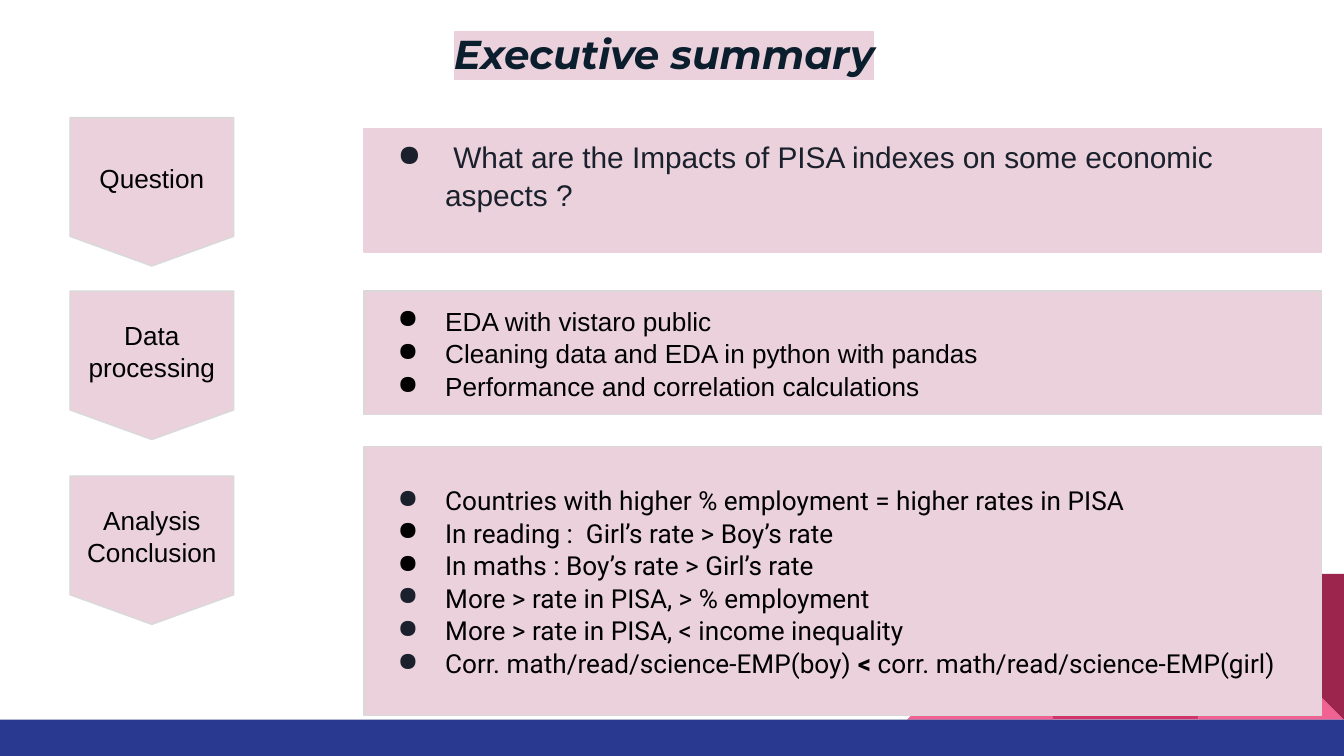
from lxml import etree
from pptx import Presentation
from pptx import util as u
from pptx.dml.color import RGBColor
from pptx.enum import shapes, text
from pptx.oxml import ns

SCALE = 9525
PINK, INK, BLACK, GREY = "EAD1DC", "1B212C", "000000", "D9D9D9"
KIND = shapes.MSO_SHAPE


def write(frame, lines, size, font="Arial", color=BLACK, align=text.PP_ALIGN.LEFT,
          anchor=text.MSO_ANCHOR.MIDDLE, bottom=10, bold=False, italic=False,
          highlight=None, bullets=None, spacing=1.04):
    frame.word_wrap = True
    frame.auto_size = text.MSO_AUTO_SIZE.NONE
    frame.vertical_anchor = anchor
    frame.margin_left = frame.margin_right = frame.margin_top = 10 * SCALE
    frame.margin_bottom = bottom * SCALE
    for row, line in enumerate(lines):
        para = frame.paragraphs[0] if row == 0 else frame.add_paragraph()
        para.alignment = align
        para.line_spacing = spacing
        if bullets:
            props = para._p.get_or_add_pPr()
            props.set("marL", str(48 * SCALE))
            props.set("indent", str(-34 * SCALE))
            tint = etree.SubElement(props, ns.qn("a:buClr"))
            etree.SubElement(tint, ns.qn("a:srgbClr"), val=bullets[row])
            etree.SubElement(props, ns.qn("a:buChar"), char="●")
        for index, part in enumerate(line.split("|")):
            span = para.add_run()
            span.text = part
            span.font.name = font
            span.font.size = u.Pt(size)
            span.font.bold = bold or index % 2 == 1
            span.font.italic = italic
            span.font.color.rgb = RGBColor.from_string(color)
            if highlight:
                marker = etree.Element(ns.qn("a:highlight"))
                etree.SubElement(marker, ns.qn("a:srgbClr"), val=highlight)
                span._r.rPr.find(ns.qn("a:solidFill")).addnext(marker)


def add_box(kind, left, top, width, height, fill, line=None, rotation=0):
    box = page.shapes.add_shape(kind, *(side * SCALE for side in (left, top, width, height)))
    box.shadow.inherit = False
    box.rotation = rotation
    box.fill.solid()
    box.fill.fore_color.rgb = RGBColor.from_string(fill)
    if line:
        box.line.color.rgb = RGBColor.from_string(line)
        box.line.width = u.Pt(0.75)
    else:
        box.line.fill.background()
    return box


deck = Presentation()
deck.slide_width, deck.slide_height = 960 * SCALE, 540 * SCALE
page = deck.slides.add_slide(deck.slide_layouts[5])

for kind, left, fill, rotation in [
    (KIND.RIGHT_TRIANGLE, 856, "F06292", 0),
    (KIND.RIGHT_TRIANGLE, 648, "F06292", 270),
    (KIND.RECTANGLE, 752, "D23369", 0),
    (KIND.RIGHT_TRIANGLE, 856, "9C254D", 180),
]:
    add_box(kind, left, 410, 104, 104, fill, rotation=rotation)
add_box(KIND.RECTANGLE, 0, 514, 960, 26, "2A3990")

title = page.shapes.title
title.left, title.top, title.width, title.height = (side * SCALE for side in (27, 11, 895, 63))
write(title.text_frame, ["Executive summary"], 21.6, font="Montserrat", color="0B1E2D",
      align=text.PP_ALIGN.CENTER, anchor=text.MSO_ANCHOR.TOP, bold=True, italic=True,
      highlight=PINK, spacing=1.0)

question = [" What are the Impacts of PISA indexes on some economic aspects ?"]
processing = [
    "EDA with vistaro public",
    "Cleaning data and EDA in python with pandas",
    "Performance and correlation calculations",
]
conclusion = [
    "Countries with higher % employment = higher rates in PISA",
    "In reading :  Girl’s rate > Boy’s rate",
    "In maths : Boy’s rate > Girl’s rate",
    "More > rate in PISA, > % employment",
    "More > rate in PISA, < income inequality",
    "Corr. math/read/science-EMP(boy) |< |corr. math/read/science-EMP(girl)",
]

for label, label_top, lines, top, height, line, style in [
    (["Question"], 84, question, 92, 88, PINK,
     dict(size=16, color=INK, bottom=32, bullets=[INK])),
    (["Data processing"], 208, processing, 208, 88, GREY,
     dict(size=14, bullets=[BLACK] * 3)),
    (["Analysis", "Conclusion"], 340, conclusion, 319, 192, GREY,
     dict(size=14, font="Roboto", bullets=[INK, BLACK, BLACK, INK, INK, INK])),
]:
    step = add_box(KIND.FLOWCHART_OFFPAGE_CONNECTOR, 50, label_top, 117, 106, PINK, GREY)
    write(step.text_frame, label, 14, align=text.PP_ALIGN.CENTER)
    panel = add_box(KIND.RECTANGLE, 260, top, 684, height, PINK, line)
    write(panel.text_frame, lines, **style)

deck.save("out.pptx")
